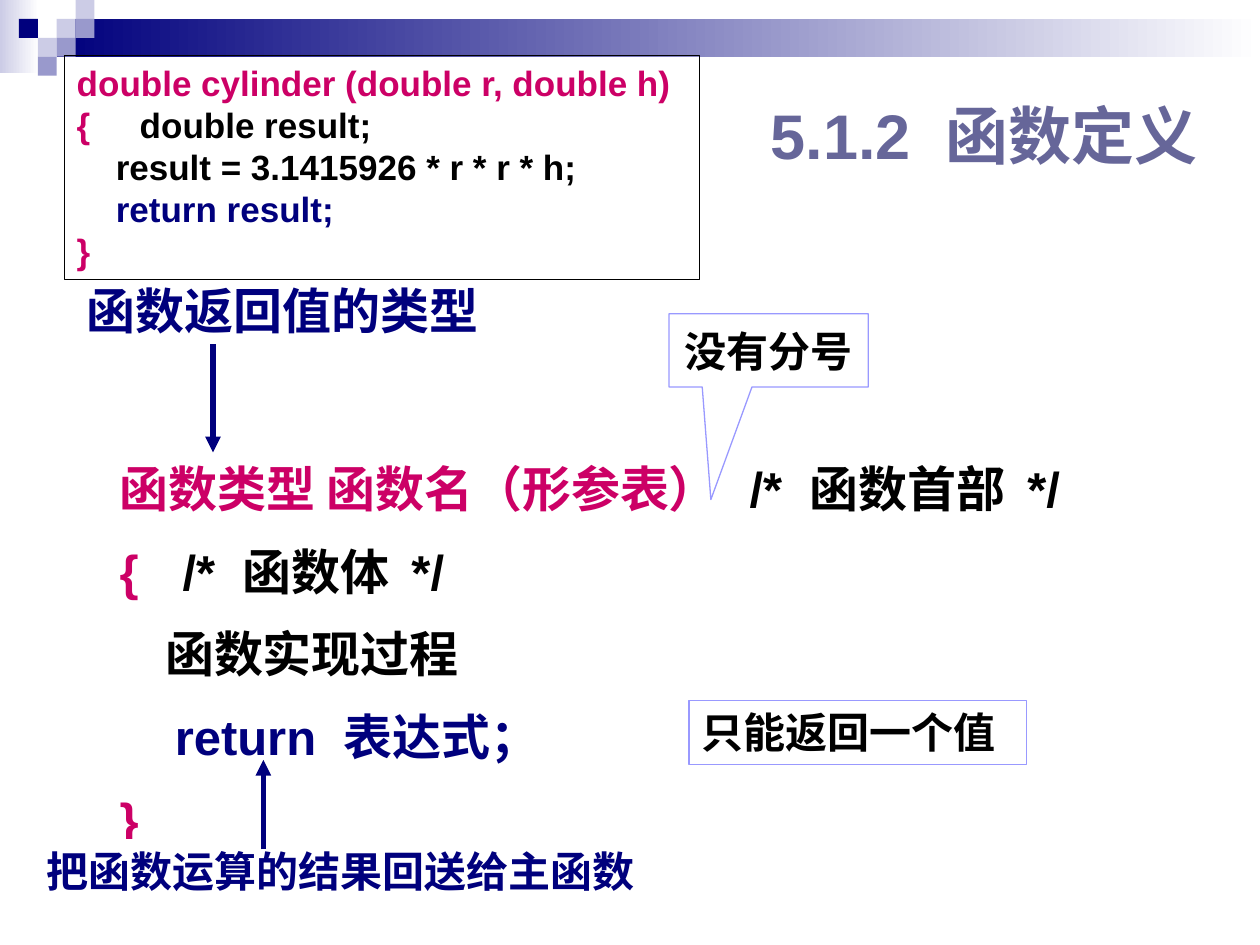
from dataclasses import dataclass

from lxml import etree
from pptx import Presentation
from pptx import util as u
from pptx.dml.color import RGBColor
from pptx.enum import lang, shapes, text
from pptx.oxml.ns import qn


@dataclass(frozen=True)
class Theme:
    navy: str = "00007D"
    mid: str = "9999CC"
    pale: str = "CCCCE6"
    white: str = "FFFFFF"
    black: str = "000000"
    pink: str = "CC0066"
    slate: str = "666699"
    border: str = "9999FF"
    font: str = "Arial"
    serif: str = "Times New Roman"
    title: int = 36
    body: int = 28
    note: int = 24
    code: int = 20
    leading: float = 1.2


THEME = Theme()


def rgb(value):
    return RGBColor.from_string(value)


def write(paragraph, content, *, size, color, font=THEME.font):
    run = paragraph.add_run()
    run.text = content
    run.font.name = font
    run.font.size = u.Pt(size)
    run.font.bold = True
    run.font.color.rgb = rgb(color)
    run.font.language_id = lang.MSO_LANGUAGE_ID.SIMPLIFIED_CHINESE


def indent(paragraph, left=0, tab=None):
    """Indent a whole paragraph and give it one tab stop, in points."""
    properties = paragraph._p.get_or_add_pPr()
    properties.set("marL", str(u.Pt(left)))
    properties.set("indent", "0")
    if tab:
        stops = etree.SubElement(properties, qn("a:tabLst"))
        etree.SubElement(stops, qn("a:tab"), pos=str(u.Pt(tab)), algn="l")


class Deck:
    def __init__(self, theme, width, height):
        self.theme = theme
        self.file = Presentation()
        self.file.slide_width, self.file.slide_height = u.Pt(width), u.Pt(height)
        self.slide = self.file.slides.add_slide(self.file.slide_layouts[6])

    def box(self, at, fill=None, line=None, kind=shapes.MSO_SHAPE.RECTANGLE):
        """Add a preset shape; a pair of fill colours makes a gradient to the right."""
        shape = self.slide.shapes.add_shape(kind, *map(u.Pt, at))
        shape.shadow.inherit = False
        if isinstance(fill, tuple):
            shape.fill.gradient()
            shape.fill.gradient_angle = 0
            for stop, color in zip(shape.fill.gradient_stops, fill):
                stop.color.rgb = rgb(color)
        elif fill:
            shape.fill.solid()
            shape.fill.fore_color.rgb = rgb(fill)
        else:
            shape.fill.background()
        if line:
            shape.line.color.rgb = rgb(line)
            shape.line.width = u.Pt(0.75)
        else:
            shape.line.fill.background()
        return shape

    def label(self, at):
        return self.slide.shapes.add_textbox(*map(u.Pt, at))

    def fill_text(self, shape, lines, *, size, leading=None, wrap=True, font=THEME.font,
                  align=text.PP_ALIGN.LEFT, anchor=text.MSO_ANCHOR.TOP):
        """Write lines, each a list of (text, colour) runs and its indent settings."""
        frame = shape.text_frame
        frame.word_wrap = wrap
        frame.vertical_anchor = anchor
        for number, (runs, settings) in enumerate(lines):
            paragraph = frame.add_paragraph() if number else frame.paragraphs[0]
            paragraph.alignment = align
            paragraph.line_spacing = u.Pt(leading or size * self.theme.leading)
            indent(paragraph, **settings)
            for content, color in runs:
                write(paragraph, content, size=size, color=color, font=font)

    def arrow(self, x, start, end):
        line = self.slide.shapes.add_connector(
            shapes.MSO_CONNECTOR.STRAIGHT, *map(u.Pt, (x, start, x, end)))
        line.line.color.rgb = rgb(self.theme.navy)
        line.line.width = u.Pt(3)
        etree.SubElement(line.line._get_or_add_ln(), qn("a:tailEnd"), type="triangle")
        etree.SubElement(line._element.spPr, qn("a:effectLst"))


def header(deck):
    t = deck.theme
    cell = 10.8
    deck.box((0, 0, 22.3, 41.8), (t.pale, t.white))
    deck.box((3 * cell, cell, 720 - 3 * cell, 2 * cell), (t.navy, t.white))
    squares = [(3, 1, t.pale), (4, 0, t.pale), (4, 1, t.mid), (2, 2, t.pale),
               (1, 1, t.navy), (3, 2, t.mid), (2, 3, t.mid)]
    for column, row, color in squares:
        deck.box((column * cell, row * cell, cell, cell), color)


def definition(deck):
    """The general form of a function, with its comments set at tab stops."""
    t = deck.theme
    form = deck.label((25.2, 247, 674.6, 278))
    form.text_frame.margin_left = u.Pt(43.2)
    form.text_frame.margin_top = u.Pt(1.4)
    deck.fill_text(form, [
        ([("函数类型 函数名（形参表）\t", t.pink), ("/*  函数首部  */", t.black)], {"tab": 383}),
        ([("{\t", t.pink), ("/*  函数体  */", t.black)], {"tab": 394}),
        ([("函数实现过程", t.black)], {"left": 26}),
        ([("return  表达式；", t.navy)], {"left": 31.5}),
        ([("}", t.pink)], {}),
    ], size=t.body, leading=47.25)


def example(deck):
    t = deck.theme
    code = deck.box((36.8, 31.7, 363, 128), line=t.black)
    deck.fill_text(code, [
        ([("double cylinder (double r, double h)", t.pink)], {}),
        ([("{\t", t.pink), ("double result;", t.black)], {"tab": 24.6}),
        ([("result = 3.1415926 * r * r * h;", t.black)], {"left": 22.3}),
        ([("return result;", t.navy)], {"left": 22.3}),
        ([("}", t.pink)], {}),
    ], size=t.code)


def notes(deck):
    t = deck.theme
    result = deck.box((19.4, 479.5, 363, 36), t.white)
    deck.fill_text(result, [([("把函数运算的结果回送给主函数", t.navy)], {})], size=t.note)

    single = deck.box((393.8, 400.3, 193, 36.7), t.white, t.border)
    deck.fill_text(single, [([("只能返回一个值", t.black)], {})], size=t.note, font=t.serif)

    deck.arrow(121.7, 196.6, 258.5)
    return_type = deck.label((42.5, 157, 239.8, 41))
    deck.fill_text(return_type, [([("函数返回值的类型", t.navy)], {})], size=t.body, wrap=False)

    semicolon = deck.box((382.3, 179.3, 113.8, 41.8), t.white, t.border,
                         shapes.MSO_SHAPE.RECTANGULAR_CALLOUT)
    semicolon.adjustments[0], semicolon.adjustments[1] = -0.29, 2.04
    deck.fill_text(semicolon, [([("没有分号", t.black)], {})], size=t.note, wrap=False,
                   align=text.PP_ALIGN.CENTER, anchor=text.MSO_ANCHOR.MIDDLE)


def main():
    deck = Deck(THEME, 720, 540)
    header(deck)
    title = deck.label((433.4, 37.4, 272.2, 79.2))
    deck.fill_text(title, [([("5.1.2  函数定义", THEME.slate)], {})], size=THEME.title,
                   anchor=text.MSO_ANCHOR.MIDDLE)
    definition(deck)
    notes(deck)
    example(deck)
    deck.arrow(150.5, 485.3, 434.2)
    deck.file.save("out.pptx")


if __name__ == "__main__":
    main()
